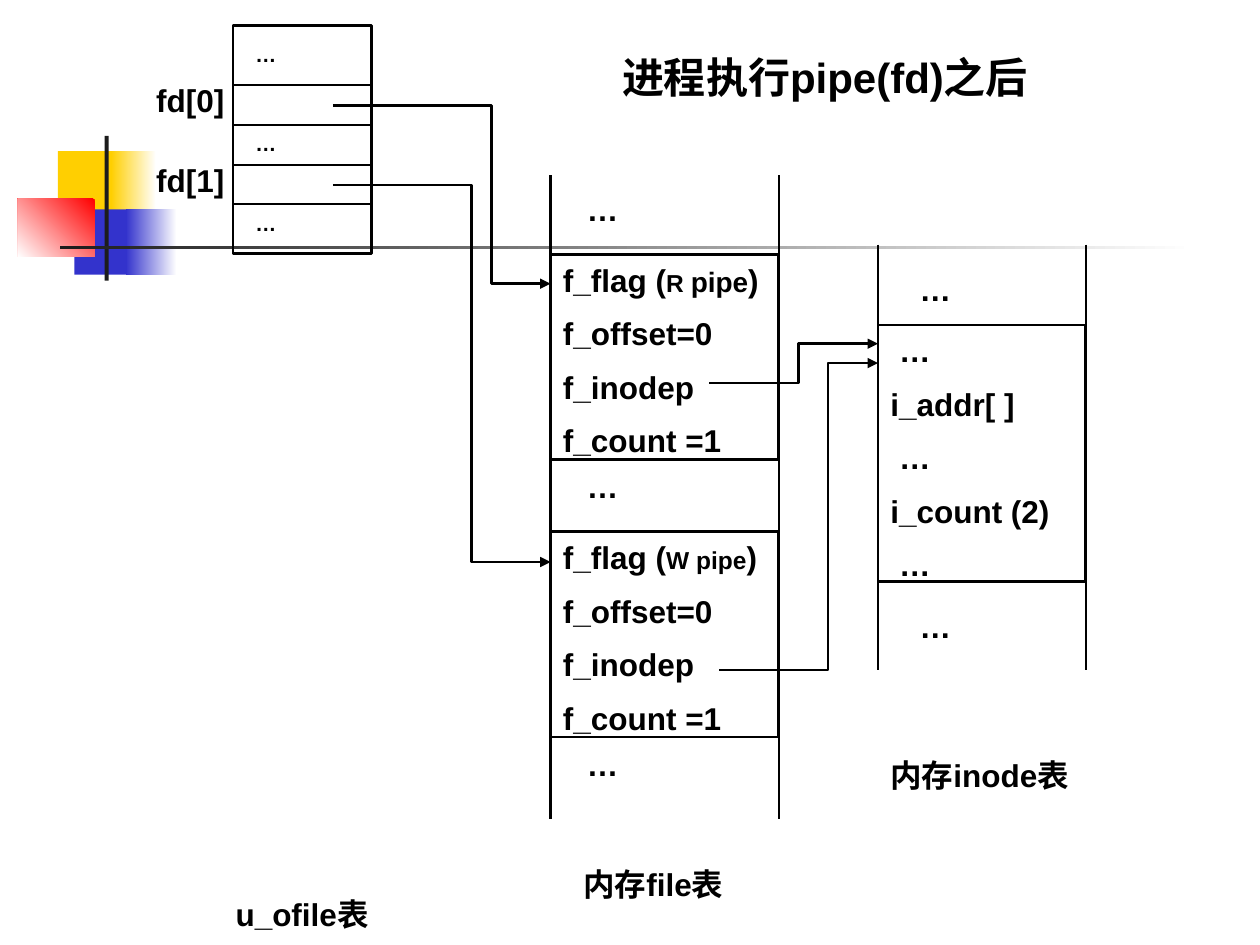
"""Build a slide showing the kernel tables after a process calls pipe(fd)."""
from pptx import Presentation
from pptx import util as u
from pptx.dml.color import RGBColor
from pptx.enum import shapes, text
from pptx.oxml.ns import qn
from lxml import etree

BLACK = RGBColor(0x00, 0x00, 0x00)
WHITE = RGBColor(0xFF, 0xFF, 0xFF)
YELLOW = RGBColor(0xFF, 0xCF, 0x01)
BLUE = RGBColor(0x33, 0x33, 0xCC)
RED = RGBColor(0xFF, 0x00, 0x00)
CHARCOAL = RGBColor(0x1C, 0x1C, 0x1C)
FONT = "Arial"


def cm(*lengths):
    """Turn plain numbers into centimetre lengths."""
    return [u.Cm(length) for length in lengths]


def write(frame, lines, size=18):
    """Fill a frame with lines, each a list of (wording, size or None) runs."""
    frame.word_wrap = True
    frame.vertical_anchor = text.MSO_ANCHOR.TOP
    for number, runs in enumerate(lines):
        line = frame.paragraphs[0] if number == 0 else frame.add_paragraph()
        line.alignment = text.PP_ALIGN.LEFT
        if number:
            line.space_before = u.Pt(9)
        for wording, run_size in runs:
            run = line.add_run()
            run.text = wording
            run.font.name = FONT
            run.font.size = u.Pt(run_size or size)
            run.font.bold = True
            run.font.color.rgb = BLACK


def add_label(slide, wording, left, top, width, height=1.02, size=18):
    """Add a one-paragraph text box."""
    label = slide.shapes.add_textbox(*cm(left, top, width, height))
    write(label.text_frame, [[(wording, None)]], size)


def add_block(slide, left, top, width, height):
    """Add a rectangle without shadow."""
    block = slide.shapes.add_shape(
        shapes.MSO_SHAPE.RECTANGLE, *cm(left, top, width, height))
    block.shadow.inherit = False
    return block


def add_solid(slide, color, *place):
    """Add a borderless decoration in one colour."""
    block = add_block(slide, *place)
    block.fill.solid()
    block.fill.fore_color.rgb = color
    block.line.fill.background()


def add_fade(slide, start, end, angle, *place):
    """Add a borderless decoration fading between two colours."""
    block = add_block(slide, *place)
    block.fill.gradient()
    block.fill.gradient_angle = angle
    for stop, color in zip(block.fill.gradient_stops, (start, end)):
        stop.color.rgb = color
    block.line.fill.background()


def add_record(slide, lines, *place):
    """Add an outlined table record with its fields."""
    record = add_block(slide, *place)
    record.fill.background()
    record.line.color.rgb = BLACK
    record.line.width = u.Pt(1.5)
    write(record.text_frame, lines)


def add_rule(slide, x1, y1, x2, y2, width=1.5):
    """Add a straight black line."""
    rule = slide.shapes.add_connector(
        shapes.MSO_CONNECTOR.STRAIGHT, *cm(x1, y1, x2, y2))
    rule.line.color.rgb = BLACK
    rule.line.width = u.Pt(width)
    etree.SubElement(rule._element.spPr, qn("a:effectLst"))


def add_pointer(slide, x1, y1, bend, x2, y2):
    """Add an elbowed arrow that turns at the given bend."""
    start, *rest = [tuple(cm(*point)) for point in
                    ((x1, y1), (bend, y1), (bend, y2), (x2, y2))]
    builder = slide.shapes.build_freeform(*start)
    builder.add_line_segments(rest, close=False)
    pointer = builder.convert_to_shape()
    pointer.shadow.inherit = False
    pointer.fill.background()
    pointer.line.color.rgb = BLACK
    pointer.line.width = u.Pt(1.5)
    etree.SubElement(pointer.line._get_or_add_ln(), qn("a:tailEnd"), type="triangle")


def add_decoration(slide):
    """Add the coloured squares and crossing bars."""
    add_solid(slide, YELLOW, 1.17, 3.05, 1.22, 1.32)
    add_fade(slide, WHITE, YELLOW, 180, 2.24, 3.05, 0.91, 1.32)
    add_solid(slide, BLUE, 1.5, 4.22, 1.17, 1.32)
    add_fade(slide, WHITE, BLUE, 180, 2.54, 4.22, 1.02, 1.32)
    add_fade(slide, RED, WHITE, 225, 0.36, 4.01, 1.55, 1.17)
    add_solid(slide, CHARCOAL, 2.11, 2.74, 0.08, 2.92)
    add_fade(slide, WHITE, CHARCOAL, 180, 1.22, 4.95, 22.86, 0.08)


def add_inode_table(slide):
    """Add the in-memory inode table."""
    left, width = 17.7, 4.19
    fields = (" …", "i_addr[ ]", " …", "i_count (2)", " …")
    add_record(slide, [[(field, None)] for field in fields], left, 6.55, width, 5.18)
    for side in (left, left + width):
        add_rule(slide, side, 4.93, side, 13.51)
    for top in (5.31, 12.12):
        add_label(slide, "…", 18.29, top, 2.39)
    add_label(slide, "内存inode表", left, 15.11, width, 1.78)


def add_file_table(slide):
    """Add the in-memory file table with its read and write records."""
    left, width, pitch = 11.1, 4.6, 5.59
    flags = ([("R ", 14), ("pipe", 16)], [("W pipe", 14)])
    fields = [[(field, None)] for field in ("f_offset=0", "f_inodep", "f_count =1")]
    for row, mode in enumerate(flags):
        flag = [("f_flag (", None), *mode, (")", None)]
        add_record(slide, [flag, *fields], left, 5.13 + row * pitch, width, 4.14)
    for side in (left, left + width):
        add_rule(slide, side, 3.53, side, 16.51)
    for row in range(3):
        add_label(slide, "…", 11.58, 3.71 + row * pitch, 2.67)
    add_label(slide, "内存file表", 11.51, 17.32, 3.61, 1.78)


def add_ofile_table(slide):
    """Add the per-process table of open files."""
    left, width = 4.7, 2.79
    add_record(slide, [], left, 0.51, width, 4.6)
    for row in range(4):
        y = 1.72 + row * 0.8
        add_rule(slide, left, y, left + width, y, 1.25)
    for top in (0.71, 2.51, 4.11):
        add_label(slide, "…", 4.9, top, 2.21, 0.76, 12)
    for wording, top in (("fd[0]", 1.5), ("fd[1]", 3.12)):
        add_label(slide, wording, 2.9, top, 2.01)
    add_label(slide, "u_ofile表", 4.5, 17.91, 3.61)


def main():
    """Assemble and save the slide."""
    deck = Presentation()
    deck.slide_width, deck.slide_height = cm(25.4, 19.05)
    slide = deck.slides.add_slide(deck.slide_layouts[6])
    add_decoration(slide)
    add_inode_table(slide)
    add_file_table(slide)
    add_ofile_table(slide)
    for route in ((6.71, 2.13, 9.91, 11.1, 5.72),
                  (6.71, 3.73, 9.5, 11.1, 11.33),
                  (14.5, 13.51, 16.69, 17.7, 7.32),
                  (14.3, 7.72, 16.1, 17.7, 6.93)):
        add_pointer(slide, *route)
    add_label(slide, "进程执行pipe(fd)之后", 12.29, 0.91, 9.6, 1.27, 24)
    deck.save("out.pptx")


if __name__ == "__main__":
    main()
